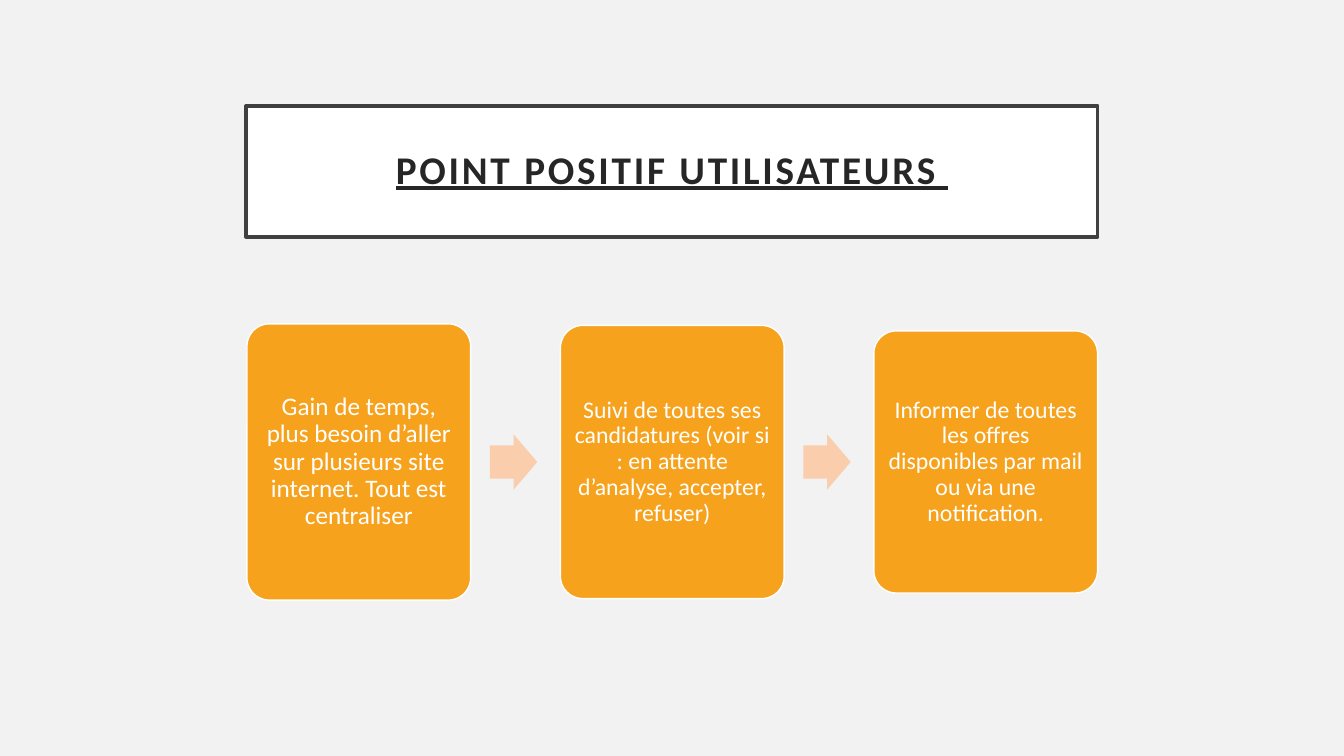
from pptx import Presentation
from pptx.dml.color import RGBColor
from pptx.enum.shapes import MSO_SHAPE
from pptx.enum.text import MSO_ANCHOR, PP_ALIGN
from pptx.util import Pt

# Content
TITLE = "POINT POSITIF UTILISATEURS "
BENEFITS = [  # text, font size, card height
    ("Gain de temps, plus besoin d’aller sur plusieurs site internet. "
     "Tout est centraliser", 18, 197.3),
    ("Suivi de toutes ses candidatures (voir si : en attente d’analyse, "
     "accepter, refuser)", 17, 195.1),
    ("Informer de toutes les offres disponibles par mail ou via une "
     "notification.", 17, 187.2),
]

# Layout, in points
TITLE_BOX = (175.7, 75.6, 608.4, 93.6)
CARD_LEFT, CARD_WIDTH, CARD_PITCH = 176.4, 159.8, 223.9
ROW_MIDDLE = 330
ARROW_WIDTH, ARROW_HEIGHT, ARROW_GAP = 33.8, 39.6, 13.8
FONT = "Calibri"


def color(value):
    return RGBColor.from_string(value)


def add_block(slide, preset, box, fill, border=None, border_width=1):
    block = slide.shapes.add_shape(preset, *map(Pt, box))
    block.shadow.inherit = False
    block.fill.solid()
    block.fill.fore_color.rgb = color(fill)
    if border:
        block.line.color.rgb = color(border)
        block.line.width = Pt(border_width)
    else:
        block.line.fill.background()
    return block


def add_words(block, words, size, ink, inset):
    frame = block.text_frame
    frame.word_wrap = True
    frame.vertical_anchor = MSO_ANCHOR.MIDDLE
    frame.margin_left = frame.margin_right = Pt(inset)
    frame.margin_top = frame.margin_bottom = Pt(inset)
    paragraph = frame.paragraphs[0]
    paragraph.alignment = PP_ALIGN.CENTER
    paragraph.line_spacing = 0.9
    run = paragraph.add_run()
    run.text = words
    run.font.name = FONT
    run.font.size = Pt(size)
    run.font.color.rgb = color(ink)
    return run


def main():
    deck = Presentation()
    deck.slide_width, deck.slide_height = Pt(960), Pt(540)
    slide = deck.slides.add_slide(deck.slide_layouts[6])
    slide.background.fill.solid()
    slide.background.fill.fore_color.rgb = color("F2F2F2")

    # Title, with letters spaced by 2 points
    banner = add_block(slide, MSO_SHAPE.RECTANGLE, TITLE_BOX, "FFFFFF", "404040", 2.5)
    heading = add_words(banner, TITLE, 28, "262626", 14.4)
    heading.font.bold = heading.font.underline = True
    heading.font._element.set("spc", "200")

    # Cards, with an arrow before each one but the first
    for index, (benefit, size, height) in enumerate(BENEFITS):
        left = CARD_LEFT + index * CARD_PITCH
        if index:
            arrow_left = left - CARD_PITCH + CARD_WIDTH + ARROW_GAP
            arrow_box = (arrow_left, ROW_MIDDLE - ARROW_HEIGHT / 2, ARROW_WIDTH, ARROW_HEIGHT)
            arrow = add_block(slide, MSO_SHAPE.RIGHT_ARROW, arrow_box, "FACEAC")
            arrow.adjustments[0] = 0.6
        card_box = (left, ROW_MIDDLE - height / 2, CARD_WIDTH, height)
        card = add_block(slide, MSO_SHAPE.ROUNDED_RECTANGLE, card_box, "F6A21D", "FFFFFF")
        card.adjustments[0] = 0.1
        add_words(card, benefit, size, "FFFFFF", 5)

    deck.save("out.pptx")


if __name__ == "__main__":
    main()
